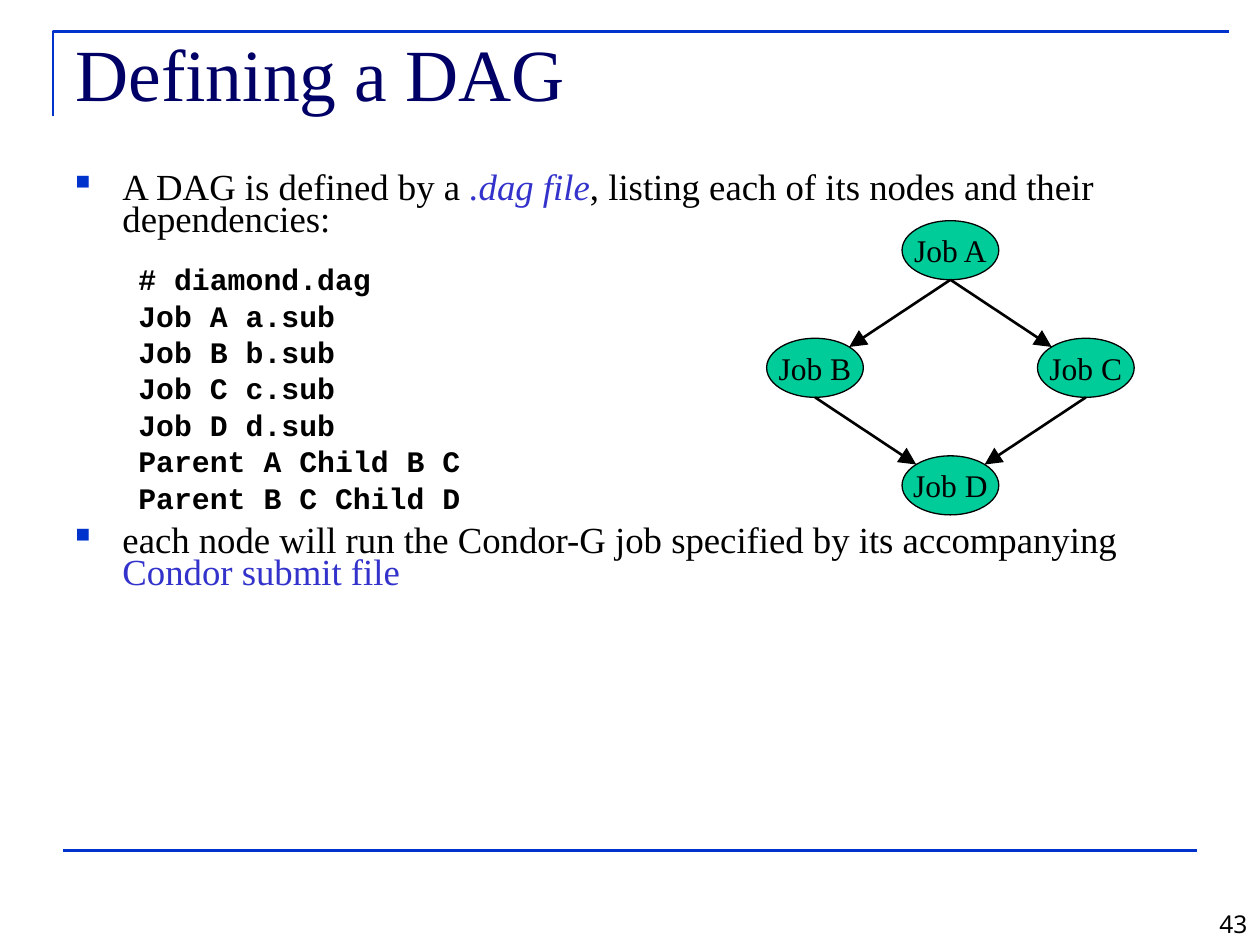
from math import sqrt

from lxml.etree import SubElement
from pptx import Presentation
from pptx.dml.color import RGBColor
from pptx.enum.shapes import MSO_CONNECTOR as CXN, MSO_SHAPE as SHAPE
from pptx.enum.text import MSO_ANCHOR as ANCHOR, MSO_AUTO_SIZE as AUTO, PP_ALIGN as ALIGN
from pptx.oxml.ns import qn
from pptx.util import Cm, Pt

BLUE = RGBColor(0x00, 0x33, 0xCC)
NAVY = RGBColor(0x00, 0x00, 0x66)
ACCENT = RGBColor(0x33, 0x33, 0xCC)
GREEN = RGBColor(0x00, 0xCC, 0x99)
BLACK = RGBColor(0, 0, 0)
WHITE = RGBColor(0xFF, 0xFF, 0xFF)

SERIF, MONO, SANS = "Times New Roman", "Courier New", "Noto Sans"
NODE_W, NODE_H = 1.95, 1.19

BULLETS = [
    [("A DAG is defined by a ", {}),
     (".dag file", {"color": ACCENT, "italic": True}),
     (", listing each of its nodes and their dependencies:", {})],
    [("each node will run the Condor-G job specified by its accompanying ", {}),
     ("Condor submit file", {"color": ACCENT})],
]
CODE = [
    "# diamond.dag",
    "Job A a.sub",
    "Job B b.sub",
    "Job C c.sub",
    "Job D d.sub",
    "Parent A Child B C",
    "Parent B C Child D",
]
NODES = {"A": (19.16, 4.45), "B": (16.43, 6.82), "C": (21.89, 6.82), "D": (19.16, 9.19)}
EDGES = ["AB", "AC", "BD", "CD"]


def add_run(p, text, size, name=SERIF, color=BLACK, **styles):
    r = p.add_run()
    r.text = text
    r.font.color.rgb = color
    for key, value in {"size": Pt(size), "name": name, **styles}.items():
        setattr(r.font, key, value)


def format_frame(tf, **options):
    values = {
        "margin_left": Cm(0.25), "margin_right": Cm(0.25),
        "margin_top": Cm(0.13), "margin_bottom": Cm(0.13),
        "word_wrap": True, "auto_size": AUTO.NONE, "vertical_anchor": ANCHOR.TOP,
    }
    for key, value in {**values, **options}.items():
        setattr(tf, key, value)


def format_paragraph(p, **options):
    for key, value in options.items():
        setattr(p, key, value)


def style_line(line, color, width):
    line.color.rgb = color
    line.width = Pt(width)


def add_line(s, x1, y1, x2, y2, color, arrow=False):
    line = s.shapes.add_connector(CXN.STRAIGHT, Cm(x1), Cm(y1), Cm(x2), Cm(y2))
    style_line(line.line, color, 1.5)
    ln = line.line._get_or_add_ln()
    if arrow:
        SubElement(ln, qn("a:tailEnd"), type="triangle", w="lg", len="lg")
    SubElement(ln.getparent(), qn("a:effectLst"))


def add_frame(s):
    builder = s.shapes.build_freeform(Cm(1.07), Cm(2.33))
    builder.add_line_segments([(Cm(1.07), Cm(0.64)), (Cm(24.77), Cm(0.64))], close=False)
    corner = builder.convert_to_shape()
    corner.shadow.inherit = False
    corner.fill.background()
    style_line(corner.line, BLUE, 1.5)
    add_line(s, 1.27, 17.15, 24.13, 17.15, BLUE)


def add_title(s, text):
    title = s.shapes.title
    title.left, title.top, title.width, title.height = Cm(1.27), Cm(0.76), Cm(21.77), Cm(2.39)
    format_frame(title.text_frame)
    p = title.text_frame.paragraphs[0]
    format_paragraph(p, alignment=ALIGN.LEFT, line_spacing=0.81)
    add_run(p, text, 42, color=NAVY)


def add_bullet(p, runs):
    p_pr = p._p.get_or_add_pPr()
    p_pr.set("marL", str(Cm(0.95)))
    p_pr.set("indent", str(-Cm(0.95)))
    color = SubElement(p_pr, qn("a:buClr"))
    SubElement(color, qn("a:srgbClr"), val=str(BLUE))
    SubElement(p_pr, qn("a:buSzPct"), val="55000")
    SubElement(p_pr, qn("a:buChar"), char="■")
    p.line_spacing = 0.74
    for text, styles in runs:
        add_run(p, text, 21, **styles)


def add_code(tf, lines):
    for i, text in enumerate(lines):
        p = tf.add_paragraph()
        p_pr = p._p.get_or_add_pPr()
        p_pr.set("marL", str(Cm(2.06)))
        p_pr.set("indent", str(-Cm(0.79)))
        format_paragraph(p, level=1, line_spacing=0.7, space_before=Pt(6.5 if i else 18))
        add_run(p, text, 17, MONO, bold=True)


def add_body(s):
    tf = s.shapes.add_textbox(Cm(1.27), Cm(3.38), Cm(22.83), Cm(13.61)).text_frame
    format_frame(tf)
    add_bullet(tf.paragraphs[0], BULLETS[0])
    add_code(tf, CODE)
    p = tf.add_paragraph()
    add_bullet(p, BULLETS[1])
    p.space_before = Pt(7.5)


def add_node(s, name):
    x, y = NODES[name]
    sp = s.shapes.add_shape(SHAPE.OVAL, Cm(x - NODE_W / 2), Cm(y), Cm(NODE_W), Cm(NODE_H))
    sp.shadow.inherit = False
    sp.fill.solid()
    sp.fill.fore_color.rgb = GREEN
    style_line(sp.line, BLACK, 0.75)
    format_frame(sp.text_frame, word_wrap=False, vertical_anchor=ANCHOR.MIDDLE)
    p = sp.text_frame.paragraphs[0]
    p.alignment = ALIGN.CENTER
    add_run(p, f"Job {name}", 18)


def add_edge(s, parent, child):
    (x1, y1), (x2, y2) = NODES[parent], NODES[child]
    side = 1 if x1 > x2 else -1
    dx, dy = NODE_W / 2 / sqrt(2), NODE_H / 2 * (1 - 1 / sqrt(2))
    add_line(s, x1, y1 + NODE_H, x2 + side * dx, y2 + dy, BLACK, arrow=True)


def add_page_number(s, text):
    tf = s.shapes.add_textbox(Cm(19.51), Cm(18.19), Cm(5.89), Cm(0.86)).text_frame
    format_frame(tf, vertical_anchor=ANCHOR.BOTTOM)
    p = tf.paragraphs[0]
    p.alignment = ALIGN.RIGHT
    add_run(p, text, 14, SANS)


def main():
    prs = Presentation()
    prs.slide_width, prs.slide_height = Cm(25.4), Cm(19.05)
    s = prs.slides.add_slide(prs.slide_layouts[5])
    s.background.fill.solid()
    s.background.fill.fore_color.rgb = WHITE
    add_frame(s)
    add_title(s, "Defining a DAG")
    add_body(s)
    for name in NODES:
        add_node(s, name)
    for parent, child in EDGES:
        add_edge(s, parent, child)
    add_page_number(s, "43")
    prs.save("out.pptx")


if __name__ == "__main__":
    main()
